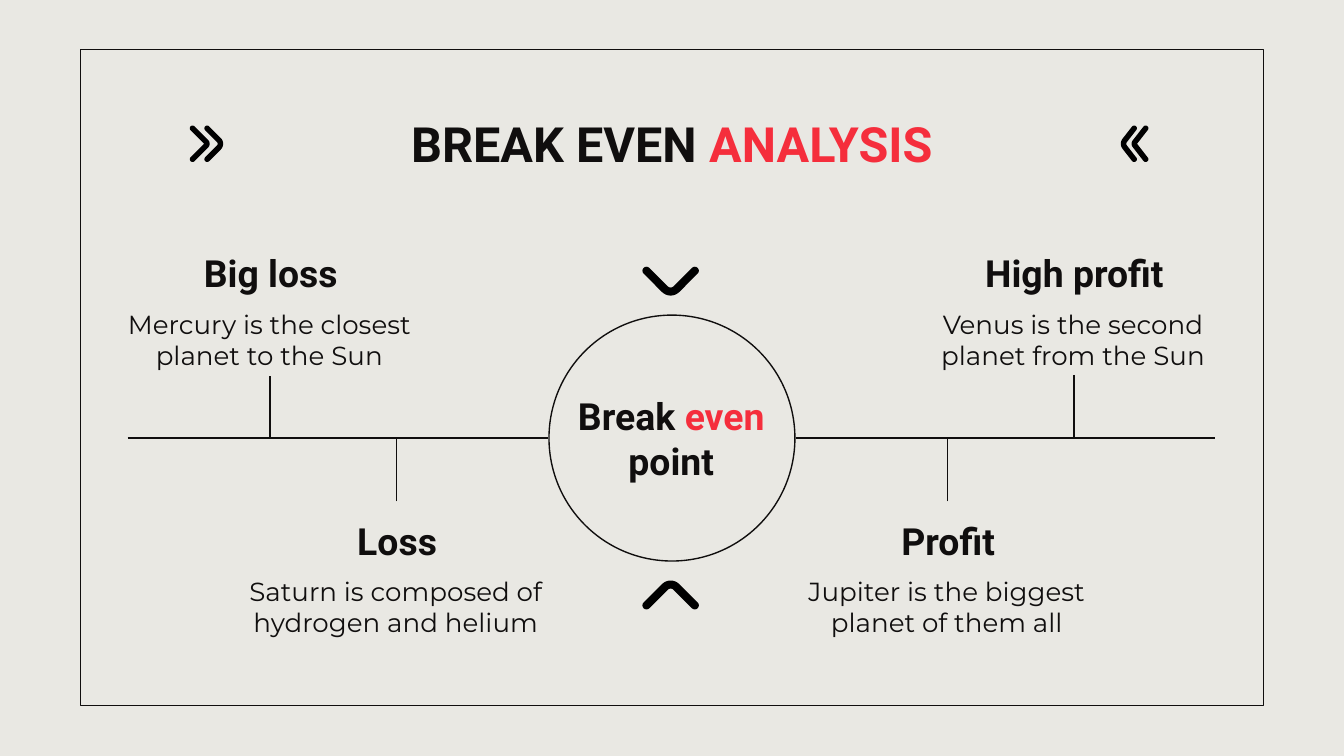
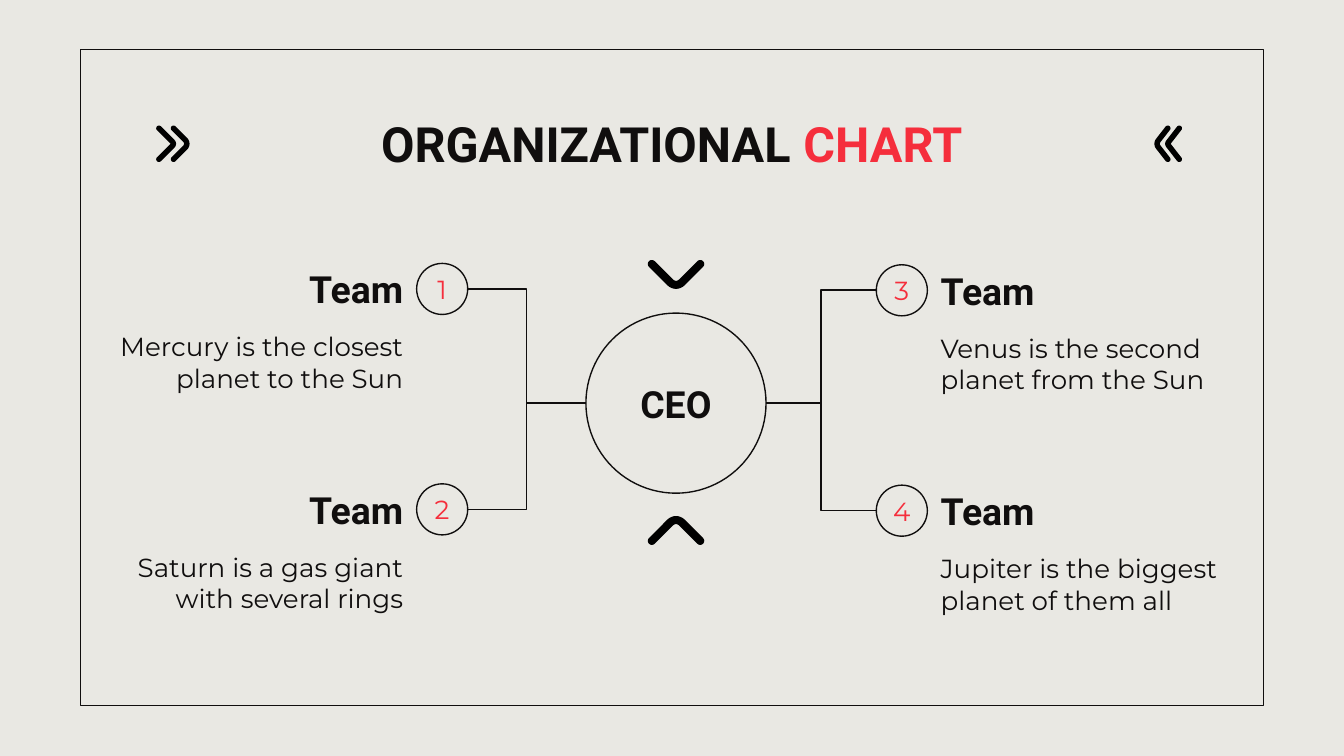
from dataclasses import dataclass
from math import cos, radians, sin

from lxml import etree
from pptx import Presentation
from pptx.dml.color import RGBColor
from pptx.enum.shapes import MSO_CONNECTOR, MSO_SHAPE
from pptx.enum.text import MSO_ANCHOR, PP_ALIGN
from pptx.oxml.ns import qn
from pptx.util import Emu, Pt

PX = 9144  # 100 px to the inch
WIDTH = 1000
RECT, ELLIPSE = MSO_SHAPE.RECTANGLE, MSO_SHAPE.OVAL
STRAIGHT, ELBOW = MSO_CONNECTOR.STRAIGHT, MSO_CONNECTOR.ELBOW
LEFT, CENTER, RIGHT = PP_ALIGN.LEFT, PP_ALIGN.CENTER, PP_ALIGN.RIGHT
MIDDLE = MSO_ANCHOR.MIDDLE
# Directions in degrees, clockwise
TO_RIGHT, DOWN, TO_LEFT, UP = 0, 90, 180, 270


@dataclass(frozen=True)
class Theme:
    paper: RGBColor = RGBColor.from_string("E9E8E3")
    ink: RGBColor = RGBColor.from_string("100E0E")
    accent: RGBColor = RGBColor.from_string("F52E3C")
    black: RGBColor = RGBColor.from_string("000000")
    heading_font: str = "Roboto"
    body_font: str = "Montserrat"
    title_size: int = 26
    heading_size: int = 20
    body_size: int = 14
    line_width: float = 0.75
    mark_width: float = 1.5


def px(*lengths):
    return [Emu(round(n * PX)) for n in lengths]


def polar(x, y, radius, degrees):
    a = radians(degrees)
    return x + radius * cos(a), y + radius * sin(a)


def arc(x, y, radius, start, end, steps=8):
    return [polar(x, y, radius, start + (end - start) * i / steps)
            for i in range(steps + 1)]


def chevron_points(tip, direction, span, bend, cap, slant):
    """Outline of a bent bar: bend is its outer radius, cap that of its ends."""
    x, y = polar(*tip, bend, direction + 180)
    middle = bend - cap
    arm = (span / 2 - cap - middle * sin(radians(slant))) / cos(radians(slant))
    near, far = direction - slant, direction + slant
    far_end = polar(*polar(x, y, middle, far), arm, far + 90)
    near_end = polar(*polar(x, y, middle, near), arm, near - 90)
    return (arc(x, y, bend, near, far)
            + arc(*far_end, cap, far, far + 180)
            + arc(x, y, bend - 2 * cap, far, near)
            + arc(*near_end, cap, near + 180, near + 360))


class Deck:
    def __init__(self, theme):
        self.theme = theme
        self.prs = Presentation()
        self.prs.slide_width = Emu(WIDTH * PX)
        self.prs.slide_height = Emu(WIDTH * PX * 9 // 16)
        self.s = None

    def slide(self, title, accent, mark_x):
        """Start a framed slide; mark_x is the outer tip of the left mark."""
        self.s = self.prs.slides.add_slide(self.prs.slide_layouts[6])
        fill = self.s.background.fill
        fill.solid()
        fill.fore_color.rgb = self.theme.paper
        self.outline(RECT, 60, 37, 880, 488)
        self.heading([(title, False), (accent, True)], 140, 75, 720, 63,
                     size=self.theme.title_size)
        for direction, tip, gap, slant in ((TO_RIGHT, mark_x, -10, 45),
                                           (TO_LEFT, WIDTH - mark_x, 8, 38)):
            for x, bend in ((tip, 5), (tip + gap, 3)):
                sp = self.chevron((x, 107), direction, 25, bend, 1, slant)
                sp.fill.fore_color.rgb = self.theme.ink
                sp.line.color.rgb = self.theme.black
                sp.line.width = Pt(self.theme.mark_width)

    def outline(self, kind, x, y, w, h):
        sp = self.s.shapes.add_shape(kind, *px(x, y, w, h))
        sp.shadow.inherit = False
        sp.fill.background()
        sp.line.color.rgb = self.theme.ink
        sp.line.width = Pt(self.theme.line_width)

    def circle(self, x, y, diameter):
        """Circle around the centre x, y."""
        self.outline(ELLIPSE, x - diameter / 2, y - diameter / 2,
                     diameter, diameter)

    def chevron(self, *geometry):
        points = [px(*point) for point in chevron_points(*geometry)]
        builder = self.s.shapes.build_freeform(*points[0], scale=1.0)
        builder.add_line_segments(points[1:], close=True)
        sp = builder.convert_to_shape()
        sp.shadow.inherit = False
        sp.fill.solid()
        sp.fill.fore_color.rgb = self.theme.black
        sp.line.fill.background()
        return sp

    def pointers(self, x, upper_tip, lower_tip):
        """Two bold chevrons aimed at what lies between them."""
        for y, direction in ((upper_tip, DOWN), (lower_tip, UP)):
            self.chevron((x, y), direction, 42, 9, 3, 45)

    def line(self, x1, y1, x2, y2, kind=STRAIGHT):
        cx = self.s.shapes.add_connector(kind, *px(x1, y1, x2, y2))
        cx.line.color.rgb = self.theme.ink
        cx.line.width = Pt(self.theme.line_width)
        etree.SubElement(cx._element.spPr, qn("a:effectLst"))

    def text(self, parts, x, y, w, h, font, size, bold, align):
        """Text box from (text, accented) parts."""
        tf = self.s.shapes.add_textbox(*px(x, y, w, h)).text_frame
        tf.word_wrap = True
        tf.vertical_anchor = MIDDLE
        tf.margin_left, tf.margin_top, tf.margin_right, tf.margin_bottom = \
            px(10, 10, 10, 10)
        p = tf.paragraphs[0]
        p.alignment = align
        for text, accented in parts:
            r = p.add_run()
            r.text = text
            r.font.name = font
            r.font.size = Pt(size)
            r.font.bold = bold
            r.font.color.rgb = self.theme.accent if accented else self.theme.ink

    def heading(self, parts, x, y, w, h, align=CENTER, size=None):
        self.text(parts, x, y, w, h, self.theme.heading_font,
                  size or self.theme.heading_size, True, align)

    def body(self, text, x, y, w, h, align=CENTER, accented=False):
        self.text([(text, accented)], x, y, w, h, self.theme.body_font,
                  self.theme.body_size, False, align)


def break_even_slide(deck):
    deck.slide("BREAK EVEN ", "ANALYSIS", 165)
    axis_y = 326
    deck.circle(500, axis_y, 183)
    deck.heading([("Break ", False), ("even ", True), ("point", False)],
                 408, 272, 183, 108)
    deck.line(95, axis_y, 408, axis_y)
    deck.line(592, axis_y, 904, axis_y)
    stages = (
        ("Big loss", "Mercury is the closest planet to the Sun", 201, 174, 280),
        ("High profit", "Venus is the second planet from the Sun", 799, 174, 279),
        ("Loss", "Saturn is composed of hydrogen and helium", 295, 373, 373),
        ("Profit", "Jupiter is the biggest planet of them all", 705, 373, 373),
    )
    for name, detail, x, top, stem_y in stages:
        deck.heading([(name, False)], x - 108, top, 217, 58)
        deck.body(detail, x - 123, top + 52, 245, 53)
        deck.line(x, stem_y, x, axis_y)
    deck.pointers(499, 220, 432)


def org_chart_slide(deck):
    deck.slide("ORGANIZATIONAL ", "CHART", 140)
    ceo_x, ceo_y, ceo_size, badge = 503, 300, 134, 38
    deck.circle(ceo_x, ceo_y, ceo_size)
    deck.heading([("CEO", False)], 436, 271, ceo_size, 58)
    deck.pointers(ceo_x, 215, 384)
    # Badge centre, side of the CEO (-1 left, 1 right)
    teams = (
        ("1", "Mercury is the closest planet to the Sun", 329, 215, -1),
        ("2", "Saturn is a gas giant with several rings", 329, 379, -1),
        ("3", "Venus is the second planet from the Sun", 671, 216, 1),
        ("4", "Jupiter is the biggest planet of them all", 671, 380, 1),
    )
    for number, detail, x, y, side in teams:
        edge = x + side * badge // 2
        align = LEFT if side > 0 else RIGHT
        name_x, detail_x = (edge, edge) if side > 0 else (edge - 217, edge - 232)
        deck.line(ceo_x + side * ceo_size // 2, ceo_y,
                  x - side * badge // 2, y, ELBOW)
        deck.circle(x, y, badge)
        deck.body(number, x - 27, y - 13, 54, 26, accented=True)
        deck.heading([("Team", False)], name_x, y - 29, 217, 58, align)
        deck.body(detail, detail_x, y + 28, 232, 53, align)


def main():
    deck = Deck(Theme())
    break_even_slide(deck)
    org_chart_slide(deck)
    deck.prs.save("out.pptx")


if __name__ == "__main__":
    main()
